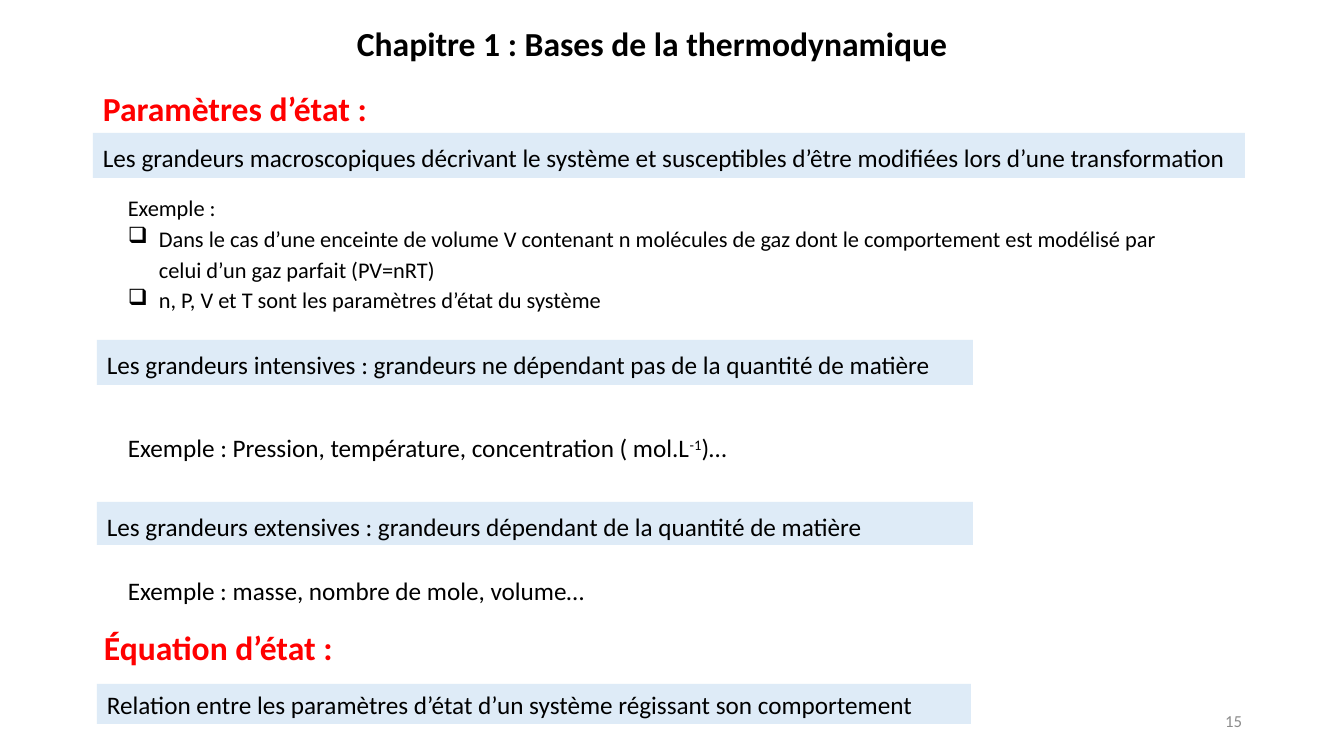
from pptx import Presentation
from pptx.dml.color import RGBColor as RGB
from pptx.enum.shapes import MSO_SHAPE as Shape
from pptx.enum.text import MSO_ANCHOR as Anchor, PP_ALIGN as Align
from pptx.oxml.ns import qn
from pptx.util import Pt
from lxml.etree import SubElement

PX = 9071.43
INDENT = 31
BULLET = "❑"

STYLES = {
    "title": dict(size=24, bold=True, color="000000"),
    "head": dict(size=24, bold=True, color="FF0000"),
    "band": dict(size=18, color="000000", fill="DEEBF7", space=1.15),
    "rule": dict(size=18, color="000000", fill="DEEBF7"),
    "text": dict(size=18, color="000000", space=1.15),
    "list": dict(size=16, color="000000", space=1.15),
    "page": dict(size=12, color="8C8C8C", align=Align.RIGHT, anchor=Anchor.MIDDLE),
}

ITEMS = [
    ("page", (950, 701, 302, 40), ["15"]),
    ("title", (347, 18, 625, 50), ["Chapitre 1 : Bases de la thermodynamique"]),
    ("head", (93, 83, 288, 50), ["Paramètres d’état :"]),
    ("list", (118, 185, 1083, 135), [
        "Exemple :",
        "❑Dans le cas d’une enceinte de volume V contenant n molécules de gaz "
        "dont le comportement est modélisé par celui d’un gaz parfait (PV=nRT)",
        "❑n, P, V et T sont les paramètres d’état du système",
    ]),
    ("band", (93, 133, 1152, 45), [
        "Les grandeurs macroscopiques décrivant le système et susceptibles "
        "d’être modifiées lors d’une transformation"]),
    ("band", (97, 502, 876, 43), [
        "Les grandeurs extensives : grandeurs dépendant de la quantité de matière"]),
    ("text", (118, 566, 484, 45), ["Exemple : masse, nombre de mole, volume…"]),
    ("band", (97, 340, 876, 45), [
        "Les grandeurs intensives : grandeurs ne dépendant pas de la quantité de matière"]),
    ("text", (118, 423, 635, 45), [
        "Exemple : Pression, température, concentration ( mol.L^-1^)…"]),
    ("head", (94, 622, 267, 50), ["Équation d’état :"]),
    ("rule", (97, 684, 874, 40), [
        "Relation entre les paramètres d’état d’un système régissant son comportement"]),
]


def emu(px):
    """Turn px into EMU."""
    return round(px * PX)


def paint(target, color):
    """Fill a shape with a hex colour."""
    target.fill.solid()
    target.fill.fore_color.rgb = RGB.from_string(color)


def add_box(slide, style, place):
    """Add a filled band or a plain text box."""
    box = [emu(n) for n in place]
    if "fill" not in style:
        return slide.shapes.add_textbox(*box)
    band = slide.shapes.add_shape(Shape.RECTANGLE, *box)
    band.shadow.inherit = False
    paint(band, style["fill"])
    band.line.fill.background()
    return band


def write(para, text, style):
    """Write one paragraph; carets enclose a superscript."""
    if text.startswith(BULLET):
        props = para._p.get_or_add_pPr()
        props.set("marL", str(emu(INDENT)))
        props.set("indent", str(-emu(INDENT)))
        SubElement(props, qn("a:buChar")).set("char", BULLET)
        text = text[len(BULLET):]
    para.alignment = style.get("align", Align.LEFT)
    para.line_spacing = style.get("space")
    look = dict(name="Calibri", size=Pt(style["size"]), bold=style.get("bold", False))
    for i, part in enumerate(text.split("^")):
        run = para.add_run()
        run.text = part
        for key, value in look.items():
            setattr(run.font, key, value)
        run.font.color.rgb = RGB.from_string(style["color"])
        if i % 2:
            run.font._element.set("baseline", "30000")


def main():
    """Build the slide."""
    deck = Presentation()
    deck.slide_width, deck.slide_height = emu(1344), emu(756)
    slide = deck.slides.add_slide(deck.slide_layouts[6])
    for kind, place, lines in ITEMS:
        style = STYLES[kind]
        frame = add_box(slide, style, place).text_frame
        frame.word_wrap = True
        frame.vertical_anchor = style.get("anchor", Anchor.TOP)
        for i, line in enumerate(lines):
            para = frame.add_paragraph() if i else frame.paragraphs[0]
            write(para, line, style)
    deck.save("out.pptx")


if __name__ == "__main__":
    main()
